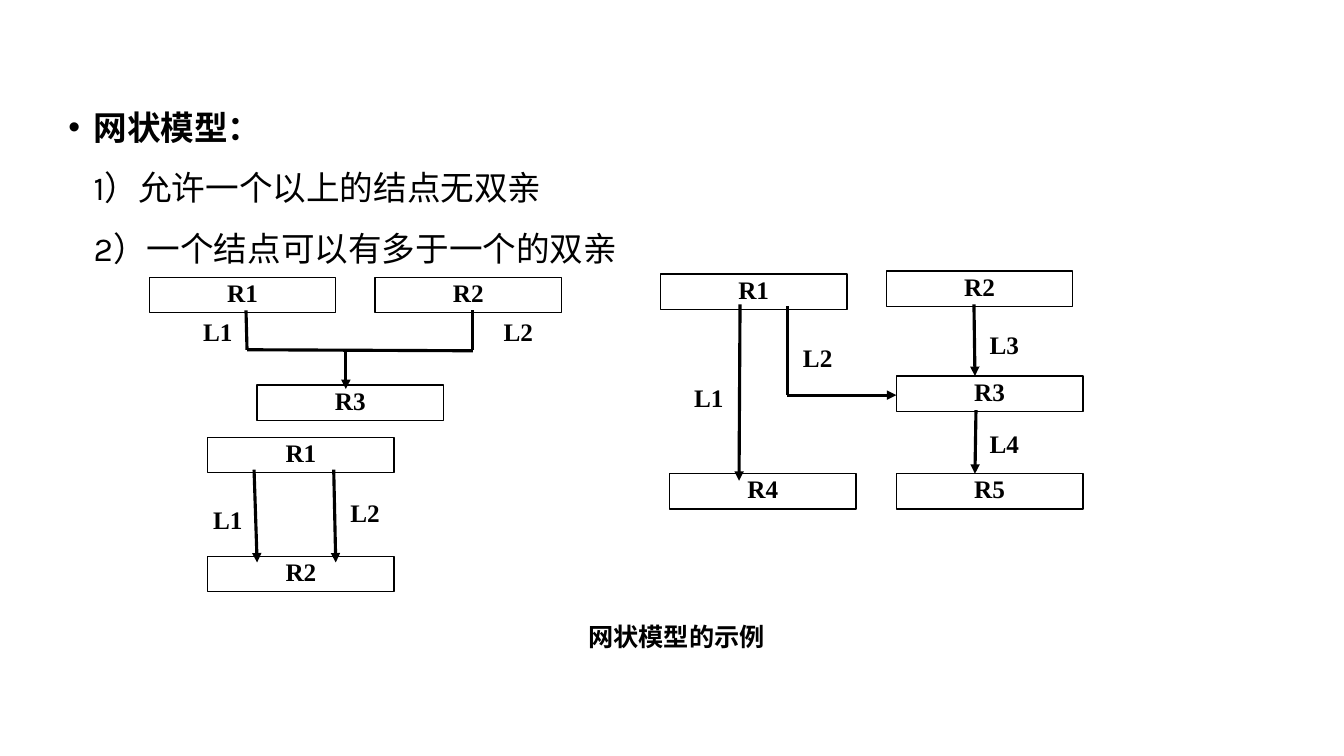
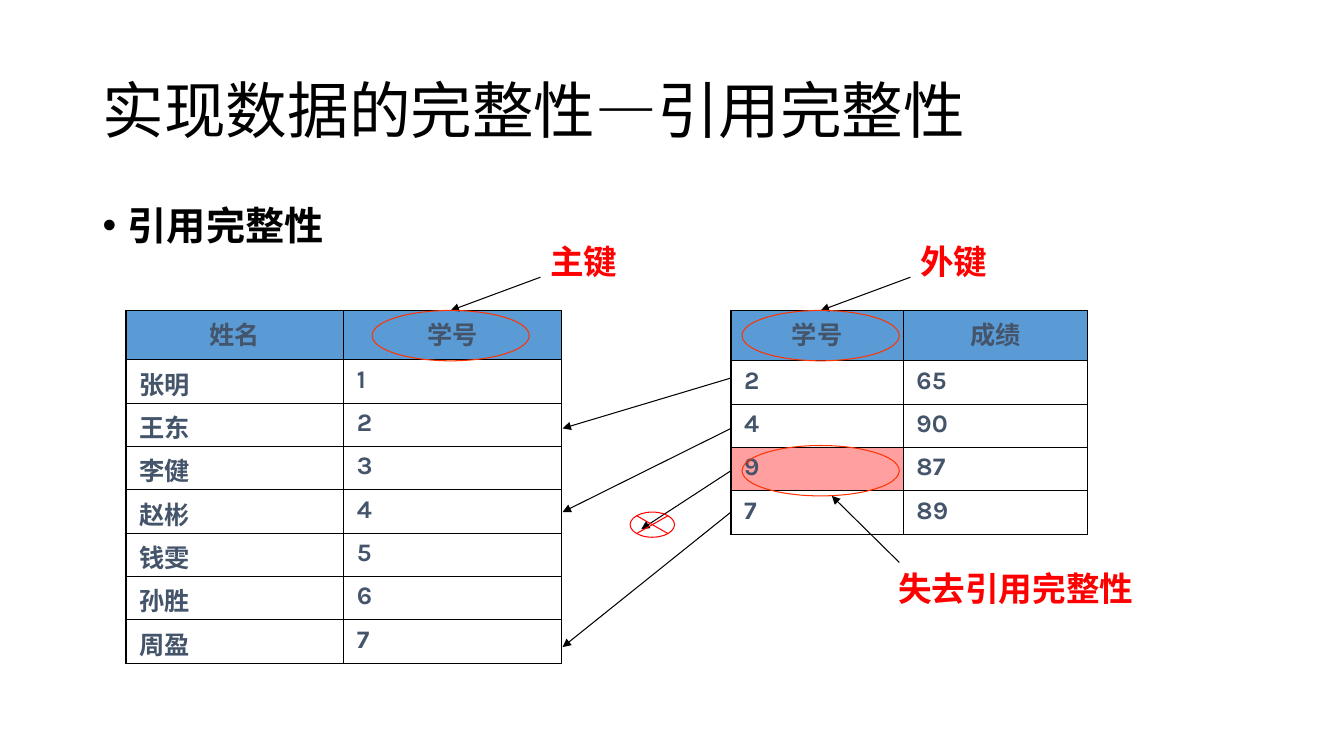
import pptx
import pptx.chart.data
import pptx.dml.color
import pptx.enum.shapes
import pptx.enum.text
import pptx.oxml
import pptx.oxml.ns
import pptx.util
from lxml import etree

SCALE = 9144  # EMU in one px, 100 px to the inch
BLACK, WHITE, RED, RING = "000000", "FFFFFF", "FF0000", "FF3300"
HEAD, PINK, SLATE = "5B9BD5", "FF9F9F", "44546A"
CJK, ROMAN, NARROW = "Noto Sans CJK SC", "Times New Roman", "Arial Narrow"
SHAPE = pptx.enum.shapes.MSO_SHAPE
ANCHOR = pptx.enum.text.MSO_ANCHOR
LEFT = pptx.enum.text.PP_ALIGN.LEFT
MIDDLE = pptx.enum.text.PP_ALIGN.CENTER
NODE = (185, 35)
LABEL = (78, 35)


def px(n):
    return pptx.util.Emu(n * SCALE)


def color(code):
    return pptx.dml.color.RGBColor.from_string(code)


def child(node, tag, **attrs):
    item = etree.SubElement(node, pptx.oxml.ns.qn(tag))
    for key, value in attrs.items():
        item.set(key, str(value))
    return item


def style(para, text, size, face, ink=BLACK, bold=True, align=LEFT,
          spacing=None, indent=(0, 0), bullet=None):
    """Set up one paragraph and add its run."""
    props = para._p.get_or_add_pPr()
    props.set("marL", str(px(indent[0])))
    props.set("indent", str(px(indent[1])))
    if bullet:
        child(props, "a:buFont", typeface="Arial")
        child(props, "a:buChar", char=bullet)
    para.alignment = align
    if spacing:
        para.line_spacing = spacing
    run = para.add_run()
    run.text = text
    font = run.font
    font.size, font.bold, font.name = pptx.util.Pt(size), bold, face
    font.color.rgb = color(ink)
    child(run._r.get_or_add_rPr(), "a:ea", typeface=CJK)


def frame(shape, insets=(10, 5, 10, 5), anchor=ANCHOR.TOP):
    body = shape.text_frame
    body.word_wrap = True
    body.vertical_anchor = anchor
    (body.margin_left, body.margin_top,
     body.margin_right, body.margin_bottom) = map(px, insets)
    return body


def write(slide, box, text, size, face, anchor=ANCHOR.TOP,
          insets=(10, 5, 10, 5), **look):
    area = slide.shapes.add_textbox(*map(px, box))
    body = frame(area, insets, anchor)
    style(body.paragraphs[0], text, size, face, **look)
    return body


def outline(slide, kind, box, ink, width, fill=None):
    shape = slide.shapes.add_shape(kind, *map(px, box))
    shape.shadow.inherit = False
    if fill:
        shape.fill.solid()
        shape.fill.fore_color.rgb = color(fill)
    else:
        shape.fill.background()
    shape.line.color.rgb = color(ink)
    shape.line.width = pptx.util.Pt(width)
    return shape


def line(slide, start, end, width=0.75, arrow=True):
    link = slide.shapes.add_connector(
        pptx.enum.shapes.MSO_CONNECTOR.STRAIGHT, *map(px, start + end))
    link.line.color.rgb = color(BLACK)
    link.line.width = pptx.util.Pt(width)
    if arrow:
        child(link.line._get_or_add_ln(), "a:tailEnd", type="triangle")
    child(link._element.spPr, "a:effectLst")


def graph(slide, left, top, nodes, labels, edges):
    """Draw record boxes, link names and links from one corner."""
    tight = (10, 0, 10, 5)
    for name, x, y in nodes:
        box = (left + x, top + y) + NODE
        body = frame(outline(slide, SHAPE.RECTANGLE, box, BLACK, 1, WHITE),
                     tight)
        style(body.paragraphs[0], name, 18, ROMAN, align=MIDDLE)
    for x1, y1, x2, y2, arrow in edges:
        line(slide, (left + x1, top + y1), (left + x2, top + y2), 2.25, arrow)
    for name, x, y in labels:
        write(slide, (left + x, top + y) + LABEL, name, 18, ROMAN,
              insets=tight, align=MIDDLE)


def table(slide, left, top, cols, heights, rows, first=None, marked=()):
    """Place a bordered table; first is the face of the body's first column."""
    box = (left, top, sum(cols), sum(heights))
    grid = slide.shapes.add_table(len(rows), len(cols), *map(px, box)).table
    grid.first_row = grid.horz_banding = False
    for col, width in zip(grid.columns, cols):
        col.width = px(width)
    for i, (row, height) in enumerate(zip(rows, heights)):
        grid.rows[i].height = px(height)
        for j, text in enumerate(row):
            cell = grid.cell(i, j)
            cell.margin_left = cell.margin_right = px(13)
            cell.margin_top = cell.margin_bottom = px(5)
            props = cell._tc.get_or_add_tcPr()
            for side in "LRTB":
                edge = child(props, f"a:ln{side}", w=pptx.util.Pt(1))
                child(child(edge, "a:solidFill"), "a:srgbClr", val=BLACK)
            fill = HEAD if i == 0 else PINK if (i, j) in marked else None
            if fill:
                cell.fill.solid()
                cell.fill.fore_color.rgb = color(fill)
            else:
                cell.fill.background()
            face = first if first and i and j == 0 else "Karla"
            style(cell.text_frame.paragraphs[0], text, 18, face, SLATE,
                  align=LEFT if i else MIDDLE, indent=(38, -38))


def ring(slide, left, top):
    outline(slide, SHAPE.OVAL, (left, top, 156, 50), RING, 0.75)


def key(slide, left, top, name):
    """Circle a key column and name it."""
    line(slide, (left + 167, top + 33), (left + 78, top + 66))
    ring(slide, left, top + 66)
    write(slide, (left + 167, top, 122, 42), name, 24, NARROW, ink=RED,
          spacing=0.8)


def models(slide):
    body = write(slide, (58, 81, 1150, 476), "网状模型：", 24, "Arial",
                 spacing=1.5, indent=(25, -25), bullet="•")
    for text in ("1）允许一个以上的结点无双亲", "2）一个结点可以有多于一个的双亲"):
        style(body.add_paragraph(), text, 24, "Karla", bold=False,
              spacing=1.5, indent=(25, 0))
    graph(slide, 148, 275,
          [("R1", 0, 0), ("R2", 224, 0), ("R3", 107, 107)],
          [("L1", 29, 39), ("L2", 327, 39)],
          [(96, 33, 97, 72, False), (321, 33, 321, 72, False),
           (97, 72, 321, 73, False), (195, 72, 195, 111, True)])
    graph(slide, 206, 434,
          [("R1", 0, 0), ("R2", 0, 118)],
          [("L1", -19, 66), ("L2", 117, 59)],
          [(46, 32, 49, 124, True), (125, 32, 127, 124, True)])
    graph(slide, 655, 269,
          [("R1", 0, 3), ("R2", 224, 0), ("R3", 234, 104),
           ("R4", 9, 201), ("R5", 234, 201)],
          [("L1", 9, 110), ("L2", 117, 71), ("L3", 302, 58), ("L4", 302, 156)],
          [(311, 33, 312, 104, True), (313, 138, 312, 201, True),
           (79, 33, 78, 208, True), (126, 35, 126, 123, False),
           (126, 123, 234, 123, True)])
    write(slide, (343, 616, 656, 35), "网状模型的示例", 18, ROMAN,
          insets=(10, 0, 10, 5), align=MIDDLE)


def rules(slide):
    write(slide, (92, 40, 1040, 145), "实现数据的完整性—引用完整性", 44, "Arial",
          anchor=ANCHOR.MIDDLE, bold=False, spacing=0.9)
    write(slide, (92, 200, 1150, 476), "引用完整性", 28, NARROW,
          spacing=0.9, indent=(25, -25), bullet="•")
    names = ("张明", "王东", "李健", "赵彬", "钱雯", "孙胜", "周盈")
    people = [(name, str(n)) for n, name in enumerate(names, 1)]
    table(slide, 125, 308, (216, 216), [49] + [43] * 7,
          [("姓名", "学号")] + people, first=CJK)
    table(slide, 725, 308, (171, 183), [50] + [43] * 4,
          [("学号", "成绩"), ("2", "65"), ("4", "90"), ("9", "87"), ("7", "89")],
          marked={(3, 0)})
    key(slide, 736, 242, "外键")
    key(slide, 369, 242, "主键")
    for y, end in ((375, (558, 425)), (425, (558, 508)),
                   (467, (636, 525)), (508, (558, 642))):
        line(slide, (725, y), end)
    outline(slide, SHAPE.FLOWCHART_SUMMING_JUNCTION, (625, 508, 44, 25),
            RED, 0.75)
    ring(slide, 736, 442)
    write(slide, (881, 558, 344, 50), "失去引用完整性", 24, "TeX Gyre Schola",
          anchor=ANCHOR.BOTTOM, ink=RED)
    line(slide, (892, 558), (825, 492))


def main():
    deck = pptx.Presentation()
    deck.slide_width, deck.slide_height = px(1333), px(750)
    for draw in (models, rules):
        draw(deck.slides.add_slide(deck.slide_layouts[6]))
    deck.save("out.pptx")


if __name__ == "__main__":
    main()
